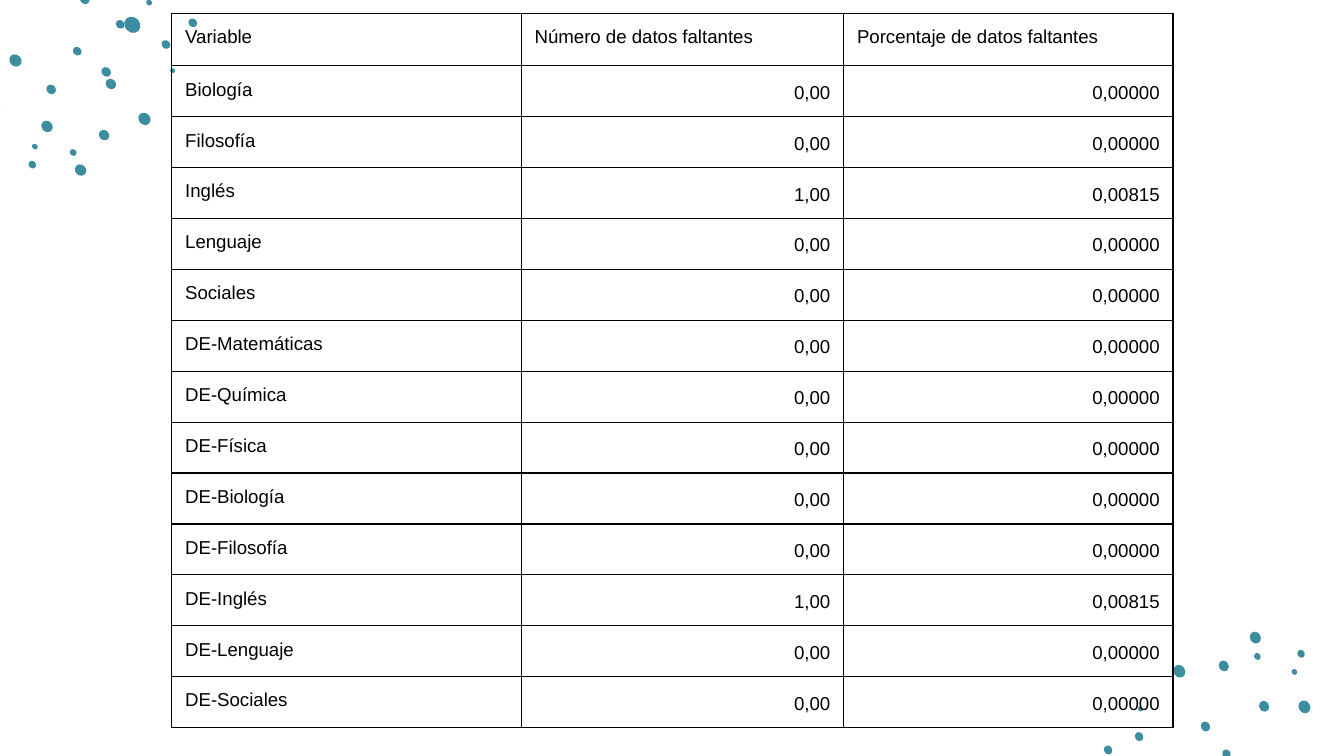
from lxml import etree
from pptx import Presentation
from pptx.dml.color import RGBColor
from pptx.enum.shapes import MSO_SHAPE
from pptx.enum.text import MSO_ANCHOR, PP_ALIGN
from pptx.oxml.ns import qn
from pptx.util import Pt

OVAL = MSO_SHAPE.OVAL
TOP = MSO_ANCHOR.TOP
LEFT, RIGHT = PP_ALIGN.LEFT, PP_ALIGN.RIGHT

TEAL, BLACK = "3C8DA0", "000000"
DOT_RATIO = 0.88
BORDER_TAGS = ("a:lnL", "a:lnR", "a:lnT", "a:lnB")

TOP_DOTS = [
    (70.9, 13.3, 9.2), (79.9, 1.4, 3.2), (45.4, -0.4, 5.4), (64.4, 13, 4.9),
    (41.4, 27.4, 4.9), (56.9, 38.5, 5.4), (59.4, 45, 5.9), (27.4, 47.9, 5.4),
    (55.8, 72.4, 5.9), (25.2, 67.7, 6.5), (39.2, 81.7, 3.8), (43.2, 91.1, 6.5),
    (18.7, 78.5, 3.2), (17.3, 88.2, 4.3), (77.4, 63.7, 7), (103.3, 12.2, 4.9),
    (88.9, 23.8, 4.9), (92.5, 37.8, 2.7), (8.3, 32.4, 7), (-3.2, 58.7, 7),
]
BOTTOM_DOTS = [
    (67, 67.9, 4.9), (55.8, 53.2, 5.4), (87.2, 42.4, 5.9), (65.6, 20.8, 5.9),
    (83.6, 15.7, 3.8), (82.5, 5.6, 6.5), (103.4, 24, 3.2), (107, 14.3, 4.3),
    (41.8, 23.6, 7), (3.6, 65.8, 4.9), (20.2, 58.6, 4.9), (20.9, 43.8, 2.7),
    (108.8, 42.7, 7),
]

HEADER = ("Variable", "Número de datos faltantes", "Porcentaje de datos faltantes")
SUBJECTS = ["Biología", "Filosofía", "Inglés", "Lenguaje", "Sociales"]
DE_SUBJECTS = ["Matemáticas", "Química", "Física"] + SUBJECTS
VARIABLES = SUBJECTS + [f"DE-{name}" for name in DE_SUBJECTS]
MISSING = {"Inglés": ("1,00", "0,00815"), "DE-Inglés": ("1,00", "0,00815")}
NONE_MISSING = ("0,00", "0,00000")
COLUMN_SHARES = (0.349, 0.322, 0.329)
HEADER_HEIGHT = 28.1


def rgb(value):
    return RGBColor.from_string(value)


def set_format(target, values):
    for name, value in values.items():
        setattr(target, name, value)


def add_dots(s, left, top, dots, rotation):
    group = s.shapes.add_group_shape()
    for x, y, length in dots:
        width = length * DOT_RATIO
        sp = group.shapes.add_shape(
            OVAL, Pt(left + x - length / 2), Pt(top + y - width / 2), Pt(length), Pt(width))
        sp.rotation = rotation
        sp.shadow.inherit = False
        sp.fill.solid()
        sp.fill.fore_color.rgb = rgb(TEAL)
        sp.line.fill.background()


def set_borders(cell, color, width):
    props = cell._tc.get_or_add_tcPr()
    for index, tag in enumerate(BORDER_TAGS):
        line = etree.Element(qn(tag), w=str(Pt(width)))
        fill = etree.SubElement(line, qn("a:solidFill"))
        etree.SubElement(fill, qn("a:srgbClr"), val=color)
        props.insert(index, line)


def fill_cell(cell, text, is_value):
    inset = Pt(7.2)
    set_format(cell, {"margin_left": inset, "margin_right": inset, "margin_top": inset,
                      "margin_bottom": inset, "vertical_anchor": TOP})
    cell.fill.background()
    set_borders(cell, BLACK, 0.75)
    p = cell.text_frame.paragraphs[0]
    set_format(p, {"alignment": RIGHT if is_value else LEFT,
                   "line_spacing": 1.15 if is_value else 1.0})
    r = p.add_run()
    r.text = text
    set_format(r.font, {"name": "Arial", "size": Pt(10), "bold": False})
    r.font.color.rgb = rgb(BLACK)


def add_missing_data_table(s, left, top, width, height):
    rows = [HEADER] + [(name, *MISSING.get(name, NONE_MISSING)) for name in VARIABLES]
    table = s.shapes.add_table(
        len(rows), len(HEADER), Pt(left), Pt(top), Pt(width), Pt(height)).table
    set_format(table, {"first_row": False, "horz_banding": False})
    for column, share in zip(table.columns, COLUMN_SHARES):
        column.width = Pt(width * share)
    row_height = (height - HEADER_HEIGHT) / len(VARIABLES)
    for i, texts in enumerate(rows):
        table.rows[i].height = Pt(row_height if i else HEADER_HEIGHT)
        for j, text in enumerate(texts):
            fill_cell(table.cell(i, j), text, i > 0 and j > 0)


def main():
    prs = Presentation()
    set_format(prs, {"slide_width": Pt(720), "slide_height": Pt(405)})
    s = prs.slides.add_slide(prs.slide_layouts[6])
    add_dots(s, 0, 0, TOP_DOTS, 225)
    add_dots(s, 590, 336, BOTTOM_DOTS, 60.3)
    add_missing_data_table(s, 92, 7.2, 536.4, 381.7)
    prs.save("out.pptx")


if __name__ == "__main__":
    main()
